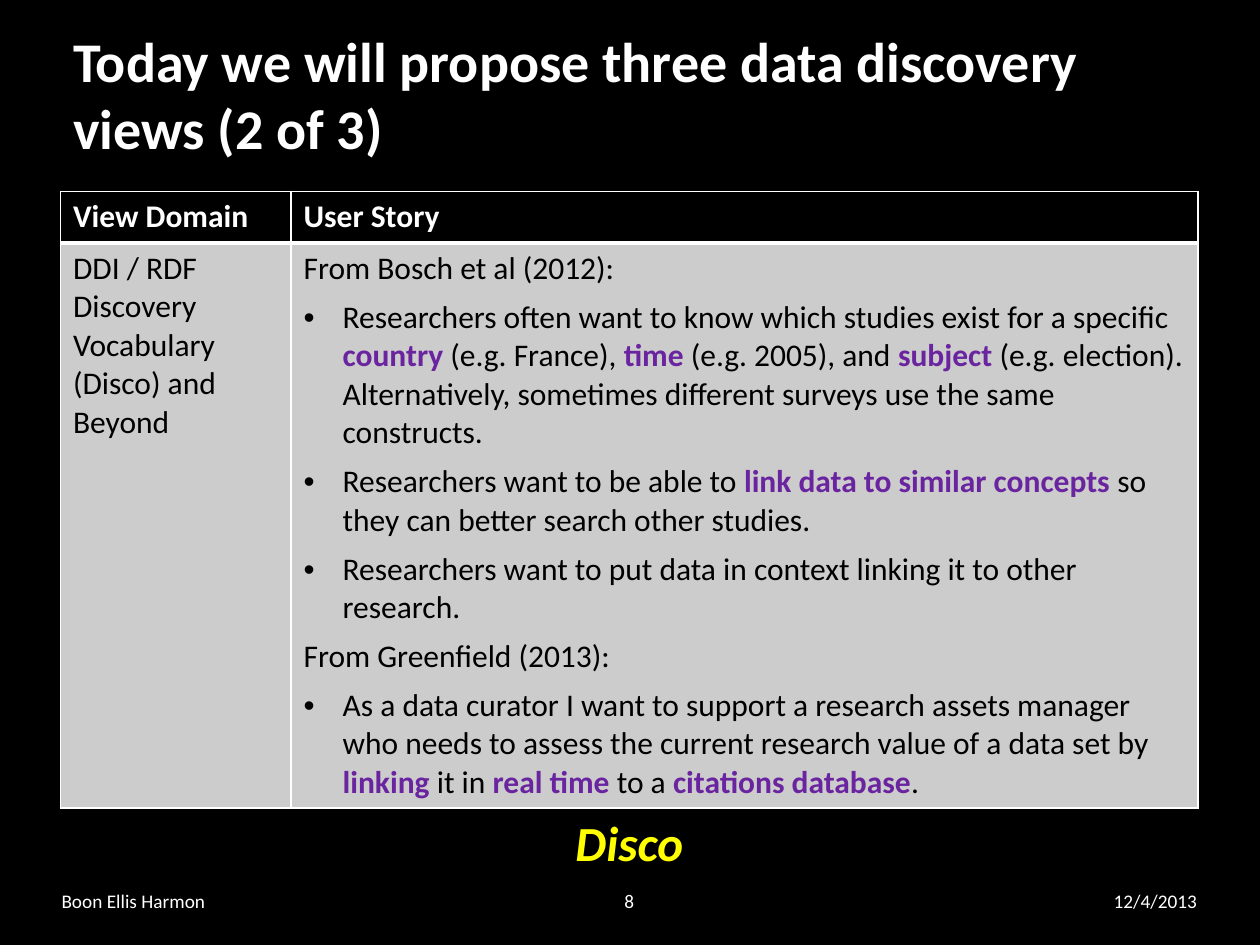
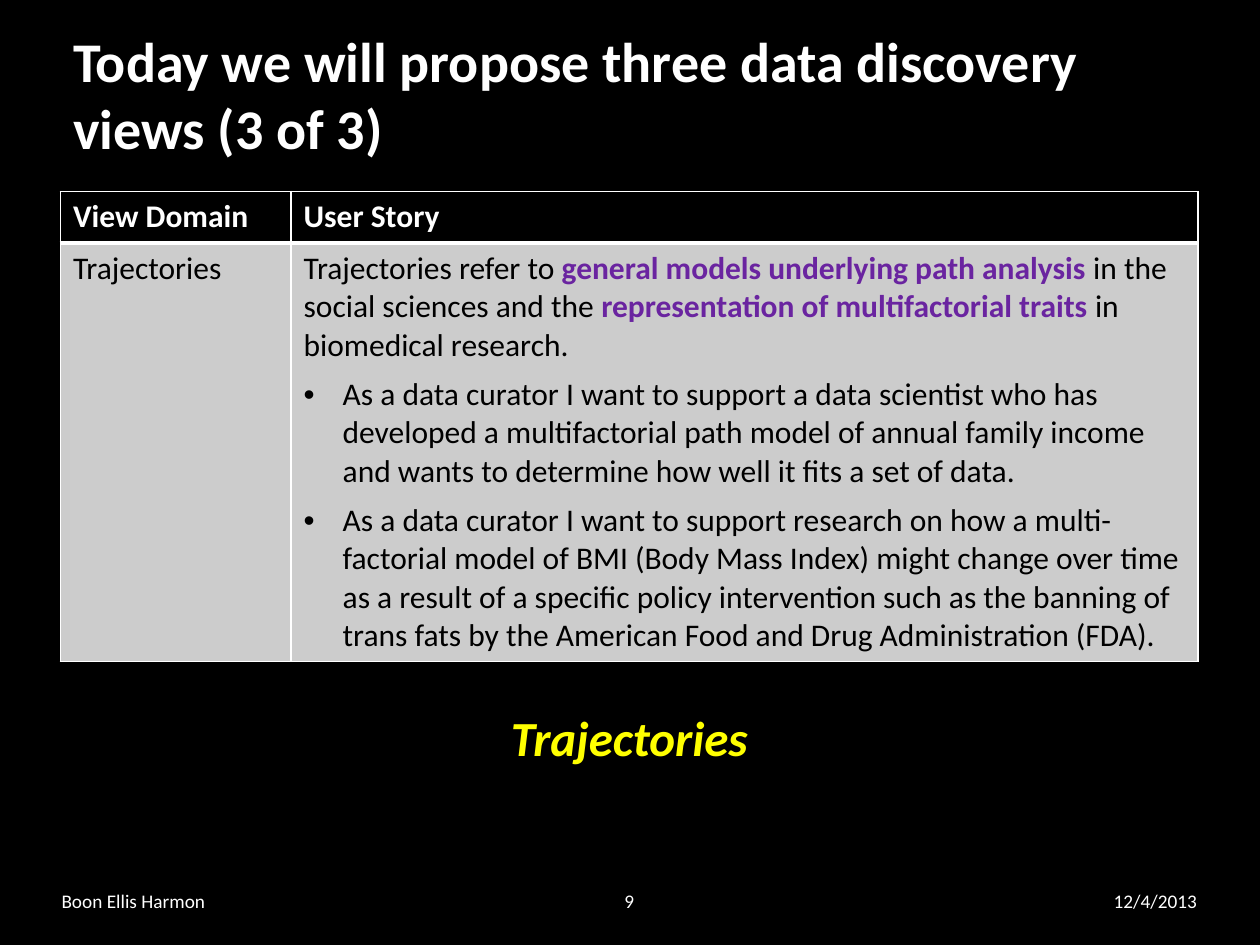
import pptx
import pptx.util
import pptx.oxml
import pptx.oxml.ns
from pptx.dml.color import RGBColor
from pptx.enum.text import MSO_ANCHOR, MSO_AUTO_SIZE, PP_ALIGN
from lxml import etree

PX = 9144  # 100 px to the inch
BLACK = RGBColor(0x00, 0x00, 0x00)
WHITE = RGBColor(0xFF, 0xFF, 0xFF)
GREY = RGBColor(0xCC, 0xCC, 0xCC)
PURPLE = RGBColor(0x6A, 0x24, 0xA0)
YELLOW = RGBColor(0xFF, 0xFF, 0x00)
FONT = "Calibri"

HEADS = ["View Domain", "User Story"]
COLS = [183, 720]
FOOT = "Boon Ellis Harmon"
DATE = "12/4/2013"

# Stories: a leading • makes a bullet, *stars* mark key words
VIEWS = [
    dict(part=2, page=8, tag="Disco", top=640,
         domain="DDI / RDF Discovery Vocabulary (Disco) and Beyond",
         story=[
             "From Bosch et al (2012):",
             "•Researchers often want to know which studies exist for a specific "
             "*country *(e.g. France), *time* (e.g. 2005), and *subject *"
             "(e.g. election). Alternatively, sometimes different surveys use "
             "the same constructs.",
             "•Researchers want to be able to *link data to similar concepts *"
             "so they can better search other studies.",
             "•Researchers want to put data in context linking it to other "
             "research.",
             "From Greenfield (2013):",
             "•As a data curator I want to support a research assets manager "
             "who needs to assess the current research value of a data set by "
             "*linking *it in *real time *to a *citations database*.",
         ]),
    dict(part=3, page=9, tag="Trajectories", top=557,
         domain="Trajectories",
         story=[
             "Trajectories refer to *general models underlying path analysis *"
             "in the social sciences and the *representation of multifactorial "
             "traits *in biomedical research.",
             "•As a data curator I want to support a data scientist who has "
             "developed a multifactorial path model of annual family income "
             "and wants to determine how well it fits a set of data.",
             "•As a data curator I want to support research on how a "
             "multi-factorial model of BMI (Body Mass Index) might change over "
             "time as a result of a specific policy intervention such as the "
             "banning of trans fats by the American Food and Drug "
             "Administration (FDA).",
         ]),
]


def style(font, size, color, bold=False):
    font.name = FONT
    font.size = pptx.util.Pt(size)
    font.color.rgb = color
    font.bold = bold


def label(slide, text, left, top, width, height, align, size, color):
    box = slide.shapes.add_textbox(left * PX, top * PX, width * PX, height * PX)
    frame = box.text_frame
    frame.word_wrap = True
    frame.text = text
    para = frame.paragraphs[0]
    para.alignment = align
    style(para.runs[0].font, size, color)
    return frame


deck = pptx.Presentation()
deck.slide_width = 1000 * PX
deck.slide_height = 750 * PX

for view in VIEWS:
    slide = deck.slides.add_slide(deck.slide_layouts[5])
    slide.background.fill.solid()
    slide.background.fill.fore_color.rgb = BLACK

    # Title
    title = slide.shapes.title
    title.left, title.top = 48 * PX, 12 * PX
    title.width, title.height = 903 * PX, 124 * PX
    frame = title.text_frame
    frame.text = f"Today we will propose three data discovery views ({view['part']} of 3)"
    frame.vertical_anchor = MSO_ANCHOR.MIDDLE
    frame.auto_size = MSO_AUTO_SIZE.NONE
    frame.paragraphs[0].alignment = PP_ALIGN.LEFT
    style(frame.paragraphs[0].runs[0].font, 32, WHITE, True)

    # Table: one header row and one story row, which grows with its text
    table = slide.shapes.add_table(2, 2, 48 * PX, 152 * PX, sum(COLS) * PX, 82 * PX).table
    for col, width in zip(table.columns, COLS):
        col.width = width * PX
    rows = [[[head] for head in HEADS], [[view["domain"]], view["story"]]]
    for r, row in enumerate(rows):
        ink, back = (BLACK, GREY) if r else (WHITE, BLACK)
        for c, lines in enumerate(row):
            cell = table.cell(r, c)

            # White borders, thick between header and story
            props = cell._tc.get_or_add_tcPr()
            for side in "LRTB":
                thick = side == ("T" if r else "B")
                edge = etree.SubElement(props, pptx.oxml.ns.qn("a:ln" + side),
                                        w=str(pptx.util.Pt(3 if thick else 1)))
                fill = etree.SubElement(edge, pptx.oxml.ns.qn("a:solidFill"))
                etree.SubElement(fill, pptx.oxml.ns.qn("a:srgbClr"), val=str(WHITE))
            cell.fill.solid()
            cell.fill.fore_color.rgb = back

            # Text, with bullets and key words
            for i, line in enumerate(lines):
                frame = cell.text_frame
                para = frame.add_paragraph() if i else frame.paragraphs[0]
                if i:
                    para.space_before = pptx.util.Pt(6)
                if line.startswith("•"):
                    ppr = para._p.get_or_add_pPr()
                    ppr.set("marL", str(31 * PX))
                    ppr.set("indent", str(-31 * PX))
                    etree.SubElement(ppr, pptx.oxml.ns.qn("a:buFont"), typeface="Arial")
                    etree.SubElement(ppr, pptx.oxml.ns.qn("a:buChar"), char="•")
                for k, piece in enumerate(line.lstrip("•").split("*")):
                    run = para.add_run()
                    run.text = piece
                    key = k % 2 == 1
                    style(run.font, 18, PURPLE if key else ink, key or r == 0)

    # View name under the table
    frame = label(slide, view["tag"], 366, view["top"], 267, 57, PP_ALIGN.CENTER, 28, YELLOW)
    frame.auto_size = MSO_AUTO_SIZE.SHAPE_TO_FIT_TEXT
    font = frame.paragraphs[0].runs[0].font
    font.bold = font.italic = True

    # Footer
    for text, left, width, align in [
        (FOOT, 39, 317, PP_ALIGN.LEFT),
        (str(view["page"]), 458, 83, PP_ALIGN.CENTER),
        (DATE, 727, 233, PP_ALIGN.RIGHT),
    ]:
        frame = label(slide, text, left, 695, width, 40, align, 11, WHITE)
        frame.vertical_anchor = MSO_ANCHOR.MIDDLE

deck.save("out.pptx")
